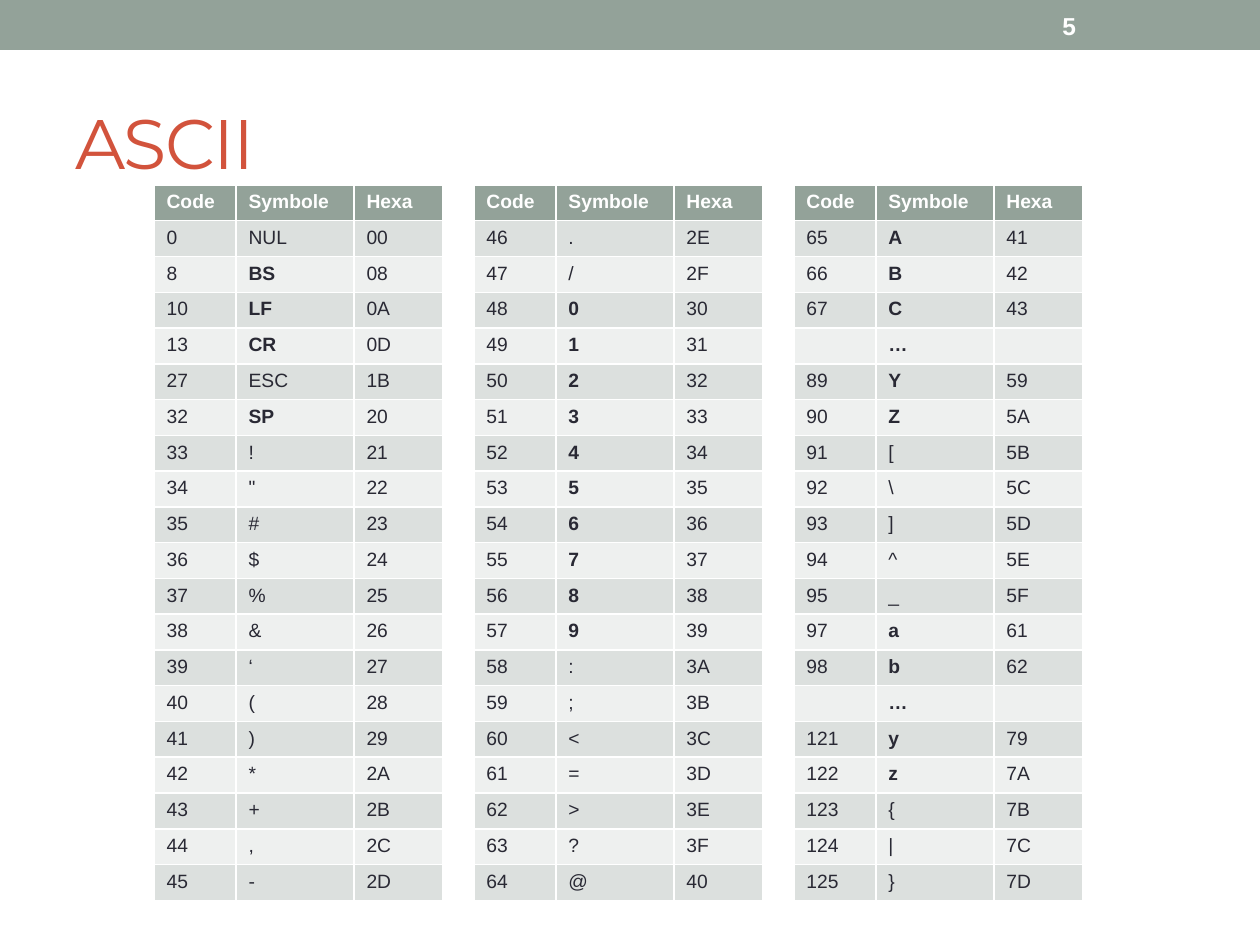
from lxml.etree import SubElement
from pptx import Presentation
from pptx.dml.color import RGBColor
from pptx.enum.shapes import MSO_SHAPE
from pptx.enum.text import MSO_ANCHOR, PP_ALIGN
from pptx.oxml.ns import qn
from pptx.util import Pt


def px(n):
    return round(n * 914400 / 126)


def style(par, face, size, color, bold=False):
    par.alignment = PP_ALIGN.LEFT
    par.font.name = face
    par.font.size = Pt(size)
    par.font.bold = bold
    par.font.color.rgb = RGBColor.from_string(color)


deck = Presentation()
deck.slide_width, deck.slide_height = px(1260), px(945)
slide = deck.slides.add_slide(deck.slide_layouts[5])

band = slide.shapes.add_shape(MSO_SHAPE.RECTANGLE, 0, 0, px(1260), px(50))
band.shadow.inherit = False
band.fill.solid()
band.fill.fore_color.rgb = RGBColor.from_string("93A299")
band.line.fill.background()

title = slide.shapes.title
title.left, title.top, title.width, title.height = px(63), px(73), px(1134), px(136)
title.text_frame.text = "ASCII"
title.text_frame.vertical_anchor = MSO_ANCHOR.MIDDLE
head = title.text_frame.paragraphs[0]
style(head, "Montserrat", 40, "D2533C")
head.runs[0].font._element.set("spc", "-100")

page = slide.shapes.add_textbox(px(1050), px(3), px(147), px(45)).text_frame
page.word_wrap = True
page.vertical_anchor = MSO_ANCHOR.MIDDLE
page.text = "5"
style(page.paragraphs[0], "Arial", 14, "FFFFFF", True)

names = {0: "NUL", 8: "BS", 10: "LF", 13: "CR", 27: "ESC", 32: "SP", 39: "‘"}
plain = {"NUL", "ESC"}
groups = [
    [0, 8, 10, 13, 27, *range(32, 46)],
    list(range(46, 65)),
    [65, 66, 67, None, *range(89, 96), 97, 98, None, *range(121, 126)],
]
widths = [82, 118, 89, 31] * 2 + [82, 118, 89]

grid = slide.shapes.add_table(20, 11, px(154), px(185), px(sum(widths)), px(706)).table
grid.horz_banding = False
for col, width in zip(grid.columns, widths):
    col.width = px(width)

for row in range(20):
    texts = []
    for codes in groups:
        code = codes[row - 1]
        if row == 0:
            texts += ["Code", "Symbole", "Hexa", ""]
        elif code is None:
            texts += ["", "…", "", ""]
        else:
            texts += [str(code), names.get(code, chr(code)), f"{code:02X}", ""]
    for col, text in enumerate(texts[:11]):
        cell = grid.cell(row, col)
        if col % 4 == 3:
            cell.fill.background()
        else:
            fill = "93A299" if row == 0 else ("EEF0EF", "DCE0DE")[row % 2]
            cell.fill.solid()
            cell.fill.fore_color.rgb = RGBColor.from_string(fill)
        par = cell.text_frame.paragraphs[0]
        if text:
            par.text = text
            mark = col % 4 == 1 and text not in plain and (text.isalnum() or text == "…")
            color = "FFFFFF" if row == 0 else "292934"
            style(par, "Arial", 11, color, row == 0 or mark)
        else:
            SubElement(par._p, qn("a:endParaRPr"), sz="1100")

deck.save("out.pptx")
